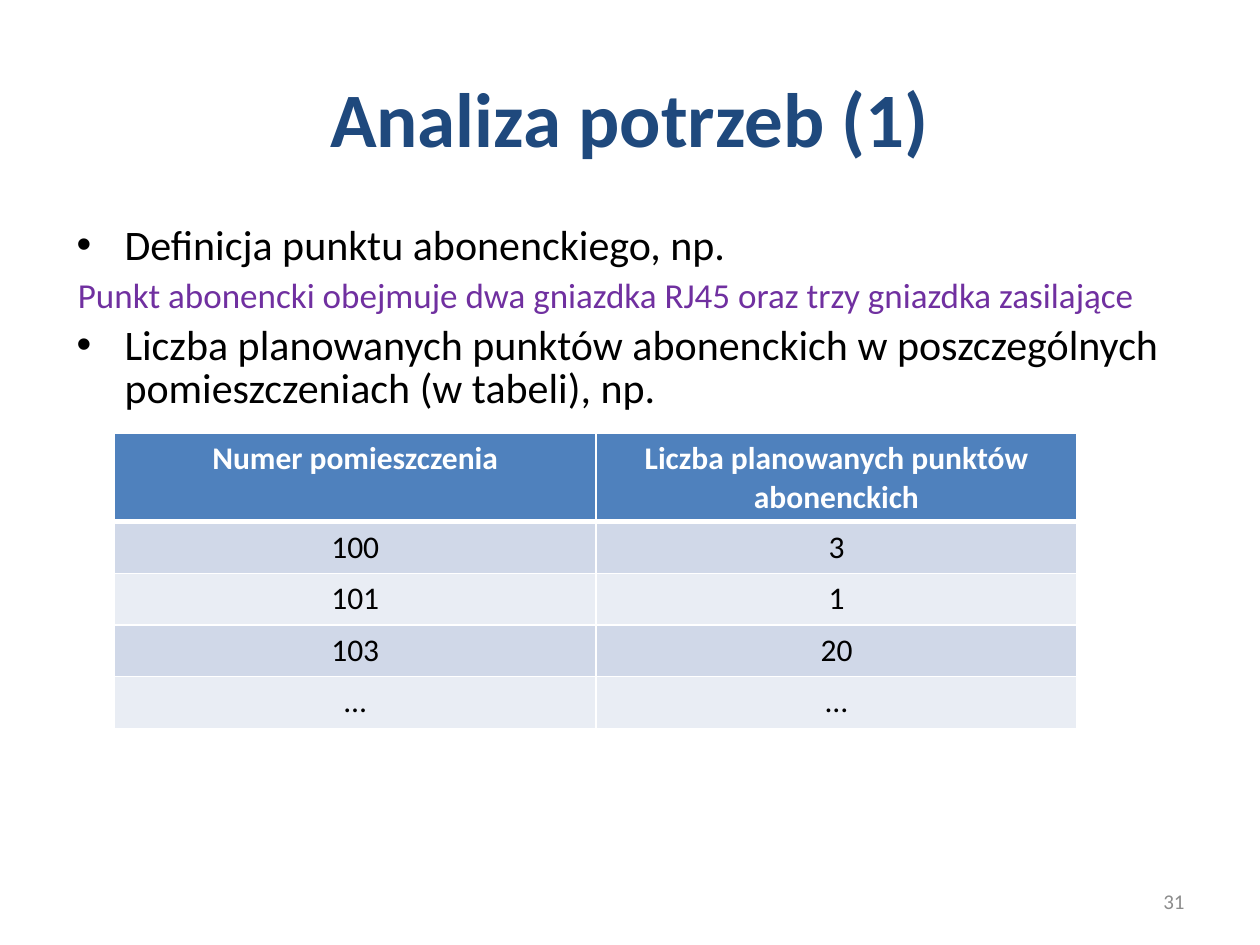
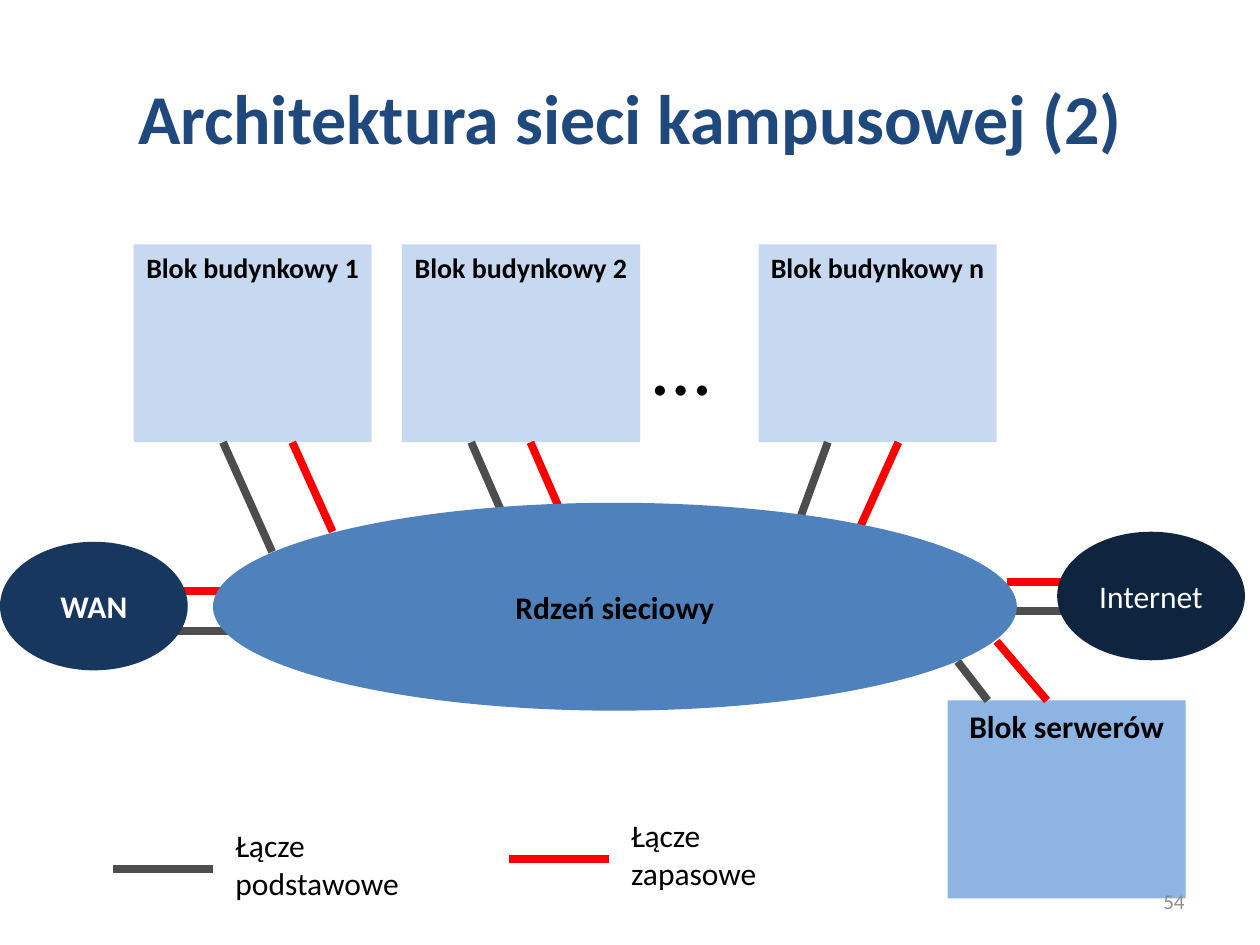
from lxml.etree import SubElement
from pptx import Presentation
from pptx.dml.color import RGBColor
from pptx.enum.shapes import MSO_CONNECTOR, MSO_SHAPE
from pptx.enum.text import MSO_ANCHOR, MSO_AUTO_SIZE, PP_ALIGN
from pptx.oxml.ns import qn
from pptx.util import Inches, Pt

FONT = "Calibri"
COLORS = {
    "title": "1F497D", "text": "000000", "example": "7030A0", "number": "8C8C8C",
    "white": "FFFFFF", "core": "4F81BD", "row_dark": "D0D8E8", "row_light": "E9EDF4",
    "building": "C6D9F1", "servers": "8EB4E3", "internet": "0F243E", "wan": "17375E",
    "primary": "4D4D4D", "backup": "FF0000",
}


def rgb(name):
    """Return the named colour."""
    return RGBColor.from_string(COLORS[name])


def inches(*values):
    """Convert numbers to lengths."""
    return [Inches(value) for value in values]


def style(para, size, color="text", bold=False, align=PP_ALIGN.LEFT):
    """Set the font and alignment of a paragraph."""
    para.alignment = align
    para.font.name = FONT
    para.font.size = Pt(size)
    para.font.bold = bold
    para.font.color.rgb = rgb(color)


def add_text(page, box, text, size, color="text", bold=False,
             align=PP_ALIGN.LEFT, anchor=MSO_ANCHOR.MIDDLE):
    """Add a wrapped one-paragraph text box."""
    frame = page.shapes.add_textbox(*inches(*box)).text_frame
    frame.word_wrap = True
    frame.vertical_anchor = anchor
    frame.paragraphs[0].text = text
    style(frame.paragraphs[0], size, color, bold, align)
    return frame


def add_label(page, box, text, size):
    """Add an unwrapped text box that grows with its text."""
    frame = add_text(page, box, text, size, anchor=MSO_ANCHOR.TOP)
    frame.word_wrap = False
    frame.auto_size = MSO_AUTO_SIZE.SHAPE_TO_FIT_TEXT


def add_node(page, kind, box, text, fill, size=18, color="text", bold=True):
    """Add a flat filled node with a centred caption."""
    node = page.shapes.add_shape(kind, *inches(*box))
    node.shadow.inherit = False
    node.fill.solid()
    node.fill.fore_color.rgb = rgb(fill)
    node.line.fill.background()
    frame = node.text_frame
    frame.word_wrap = False
    frame.vertical_anchor = MSO_ANCHOR.TOP if kind == MSO_SHAPE.RECTANGLE else MSO_ANCHOR.MIDDLE
    frame.paragraphs[0].text = text
    style(frame.paragraphs[0], size, color, bold, PP_ALIGN.CENTER)


def add_link(page, origin, start, end, kind):
    """Add a network link between two points relative to an origin."""
    points = [origin[axis] + point[axis] for point in (start, end) for axis in (0, 1)]
    link = page.shapes.add_connector(MSO_CONNECTOR.STRAIGHT, *inches(*points))
    link.line.width = Pt(4.5)
    link.line.color.rgb = rgb(kind)
    SubElement(link._element.spPr, qn("a:effectLst"))


def add_page(deck, title, title_size, number):
    """Add a blank page with the shared title and page number."""
    page = deck.slides.add_slide(deck.slide_layouts[6])
    add_text(page, (0.5, 0.3, 9, 1.25), title, title_size, "title", True, PP_ALIGN.CENTER)
    return page, lambda: add_text(page, (7.17, 6.95, 2.33, 0.4), str(number), 12,
                                  "number", align=PP_ALIGN.RIGHT)


def add_requirements(page, box, items):
    """Add bulleted points and the coloured examples under them."""
    frame = page.shapes.add_textbox(*inches(*box)).text_frame
    frame.word_wrap = True
    for index, (text, is_point) in enumerate(items):
        para = frame.add_paragraph() if index else frame.paragraphs[0]
        para.text = text
        para.line_spacing = 0.85
        para.space_before = Pt(6)
        properties = para._p.get_or_add_pPr()
        properties.set("marL", str(Inches(0.39 if is_point else 0.02)))
        properties.set("indent", str(Inches(-0.38 if is_point else 0)))
        if is_point:
            SubElement(properties, qn("a:buFont"), typeface="Arial")
            SubElement(properties, qn("a:buChar"), char="•")
        style(para, 24 if is_point else 20, "text" if is_point else "example")


def add_border(cell, side, width):
    """Draw one white border of a cell."""
    line = SubElement(cell._tc.get_or_add_tcPr(), qn(f"a:ln{side}"), w=str(Pt(width)))
    SubElement(SubElement(line, qn("a:solidFill")), qn("a:srgbClr"), val=COLORS["white"])


def add_rooms_table(page, box, rows):
    """Add the table of access points per room."""
    left, top, width, height = box
    row_height = 0.41
    header_height = height - row_height * (len(rows) - 1)
    table = page.shapes.add_table(len(rows), len(rows[0]), *inches(*box)).table
    for column in table.columns:
        column.width = Inches(width / len(rows[0]))
    for row, values in enumerate(rows):
        table.rows[row].height = Inches(row_height if row else header_height)
        fill = ("row_light", "row_dark")[row % 2] if row else "core"
        for column, value in enumerate(values):
            cell = table.cell(row, column)
            for side in "LRTB":
                under_header = (row, side) in ((0, "B"), (1, "T"))
                add_border(cell, side, 3 if under_header else 1)
            cell.fill.solid()
            cell.fill.fore_color.rgb = rgb(fill)
            para = cell.text_frame.paragraphs[0]
            para.text = value
            style(para, 18, "text" if row else "white", not row, PP_ALIGN.CENTER)


def add_building_blocks(page, box):
    """Add the building blocks and their links down to the core."""
    left, top, width, height = box
    blocks = [
        ("1", 0, (0.71, 1.1, 0.87), (1.26, 1.58, 0.71)),
        ("2", 2.13, (0.55, 0.79, 0.55), (1.02, 1.26, 0.55)),
        ("n", 4.96, (0.55, 0.32, 0.63), (1.11, 0.79, 0.71)),
    ]
    for name, offset, *links in blocks:
        add_node(page, MSO_SHAPE.RECTANGLE, (left + offset, top, width, height),
                 f"Blok budynkowy {name}", "building", 16)
        for kind, (start, end, drop) in zip(("primary", "backup"), links):
            add_link(page, (left + offset, top + height), (start, 0), (end, drop), kind)
    add_label(page, (left + 4.02, top + 0.48, 0.67, 0.91), "…", 48)


def add_server_block(page, box):
    """Add the server block and its links up to the core."""
    add_node(page, MSO_SHAPE.RECTANGLE, box, "Blok serwerów", "servers")
    add_link(page, box, (0.08, -0.31), (0.32, 0), "primary")
    add_link(page, box, (0.39, -0.47), (0.79, 0), "backup")


def add_core(page, box):
    """Add the network core with its outside networks and their links."""
    left, top, width, height = box
    outside_links = [
        (6.3, 6.78, 0.86, "primary"), (6.3, 6.78, 0.63, "backup"),
        (-0.31, 0.16, 1.02, "primary"), (-0.31, 0.08, 0.7, "backup"),
    ]
    for start, end, level, kind in outside_links:
        add_link(page, box, (start, level), (end, level), kind)
    add_node(page, MSO_SHAPE.OVAL, box, "Rdzeń sieciowy", "core")
    add_node(page, MSO_SHAPE.OVAL, (left + 6.7, top + 0.23, 1.49, 1.02),
             "Internet", "internet", color="white", bold=False)
    add_node(page, MSO_SHAPE.OVAL, (left - 1.69, top + 0.31, 1.49, 1.02),
             "WAN", "wan", color="white")


def add_legend_entry(page, box, text, kind):
    """Add a sample link with its caption."""
    left, top, width, height = box
    add_link(page, box, (0, 0.39), (0.79, 0.39), kind)
    add_label(page, (left + 0.87, top, width - 0.87, height), text, 18)


def build_needs_page(deck):
    """Build the page on needs analysis."""
    page, add_number = add_page(deck, "Analiza potrzeb (1)", 44, 31)
    add_requirements(page, (0.5, 1.75, 9.23, 5.23), [
        ("Definicja punktu abonenckiego, np.", True),
        ("Punkt abonencki obejmuje dwa gniazdka RJ45 oraz trzy gniazdka zasilające", False),
        ("Liczba planowanych punktów abonenckich w poszczególnych "
         "pomieszczeniach (w tabeli), np.", True),
    ])
    add_rooms_table(page, (0.91, 3.44, 7.64, 2.32), [
        ("Numer pomieszczenia", "Liczba planowanych punktów abonenckich"),
        ("100", "3"),
        ("101", "1"),
        ("103", "20"),
        ("…", "…"),
    ])
    add_number()


def build_campus_page(deck):
    """Build the page on campus network architecture."""
    page, add_number = add_page(deck, "Architektura sieci kampusowej (2)", 40, 54)
    add_building_blocks(page, (1.06, 1.94, 1.89, 1.57))
    add_legend_entry(page, (0.9, 6.51, 2.38, 0.71), "Łącze \vpodstawowe", "primary")
    add_legend_entry(page, (4.04, 6.43, 2.08, 0.71), "Łącze \vzapasowe", "backup")
    add_server_block(page, (7.52, 5.56, 1.89, 1.57))
    add_core(page, (1.69, 3.99, 6.38, 1.65))
    add_number()


def main():
    """Build and save the deck."""
    deck = Presentation()
    deck.slide_width, deck.slide_height = inches(10, 7.5)
    build_needs_page(deck)
    build_campus_page(deck)
    deck.save("out.pptx")


if __name__ == "__main__":
    main()
